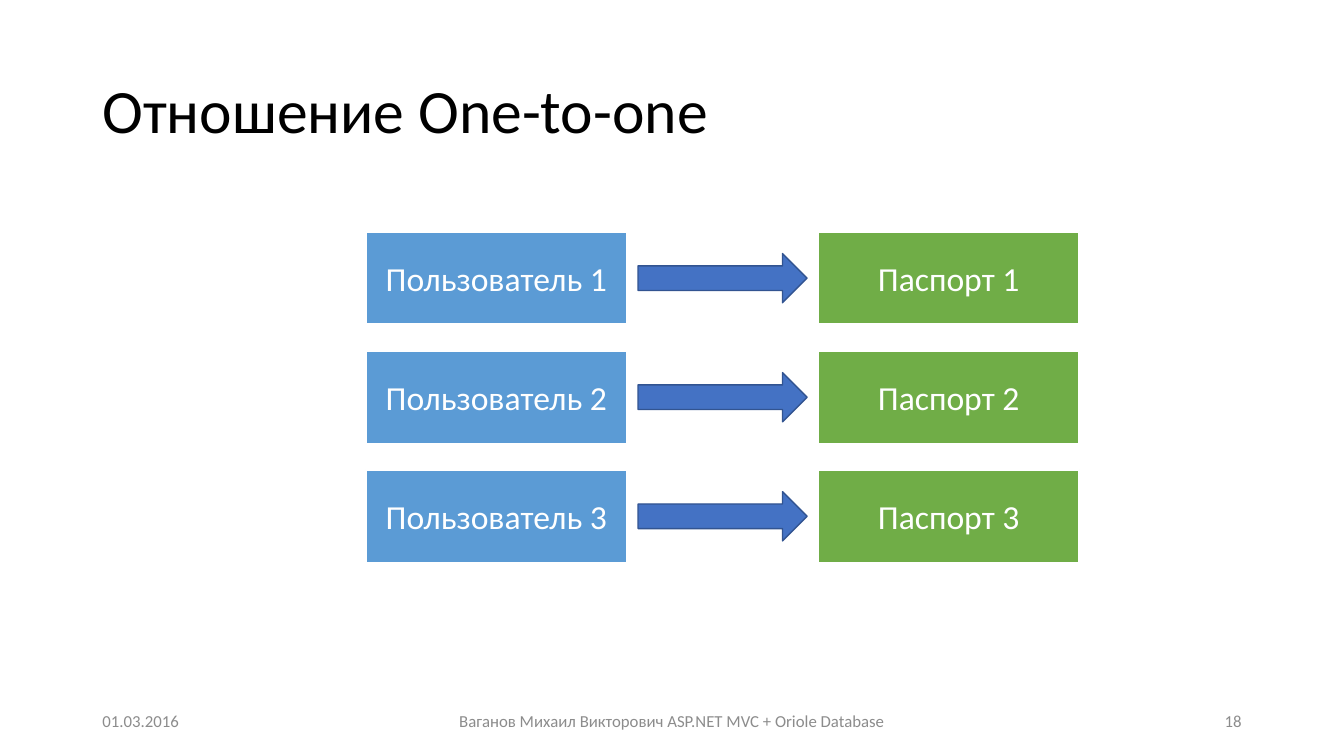
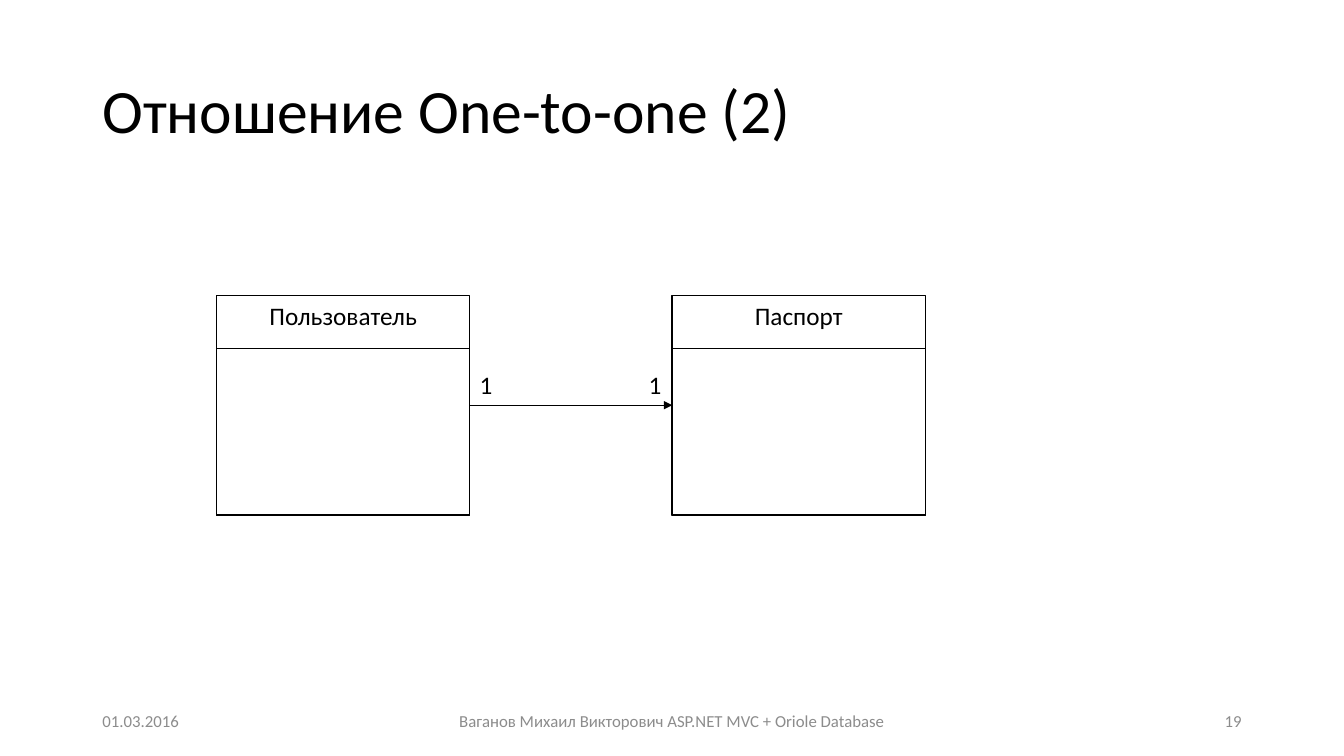
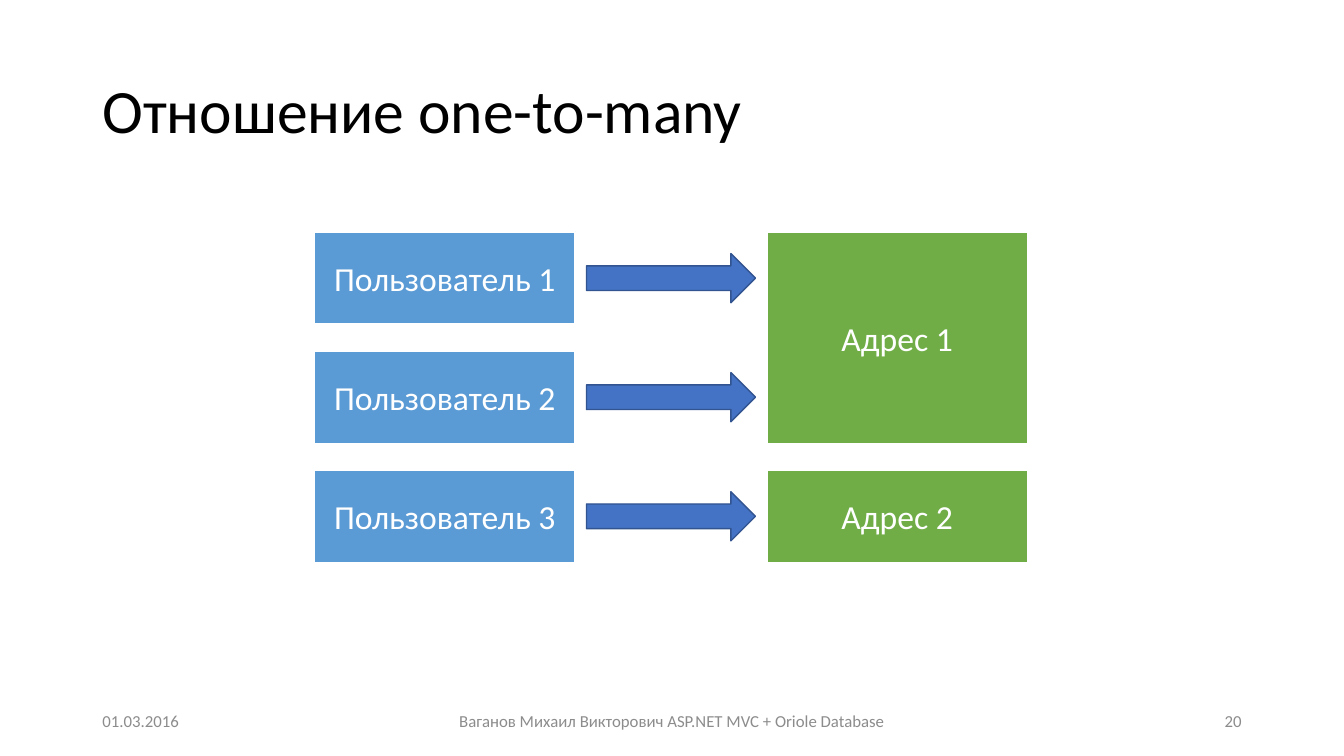
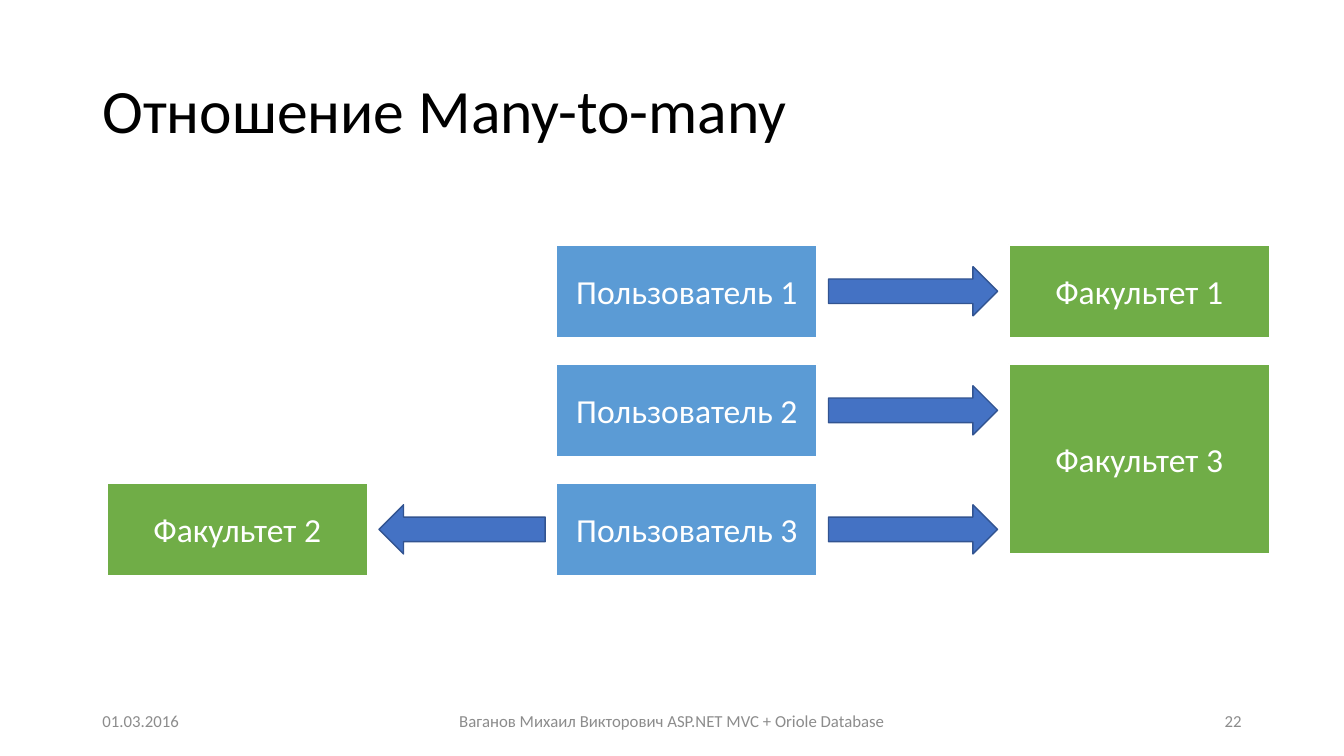
import pptx
import pptx.dml.color
import pptx.enum.shapes
import pptx.enum.text
import pptx.oxml.xmlchemy
import pptx.util
from lxml import etree
from pptx.util import Cm

FONT = "Calibri"
BLACK, WHITE, GREY = "000000", "FFFFFF", "8C8C8C"
BLUE, GREEN = "5B9BD5", "70AD47"
ARROW_FILL, ARROW_LINE = "4472C4", "325491"
DATE = "01.03.2016"
FOOTER = "Ваганов Михаил Викторович ASP.NET MVC + Oriole Database"
USERS = ["Пользователь 1", "Пользователь 2", "Пользователь 3"]

BOX_WIDTH, BOX_HEIGHT = 6.58, 2.34
COLUMN_STEP, ROW_STEP = 11.4, 3
ARROW_HEIGHT, ARROW_GAP = 1.24, 0.28
ARROW_DROP = (BOX_HEIGHT - ARROW_HEIGHT) / 2
CLASS_WIDTH, CLASS_HEIGHT, CLASS_HEADER = 6.38, 5.54, 1.35

SHAPES = pptx.enum.shapes.MSO_SHAPE
ALIGN = pptx.enum.text.PP_ALIGN
ANCHOR = pptx.enum.text.MSO_ANCHOR


def color(value):
    """Turn a hex string into a colour."""
    return pptx.dml.color.RGBColor.from_string(value)


def write(shape, text, size, ink, align=ALIGN.LEFT, anchor=ANCHOR.MIDDLE):
    """Put one run of text in a shape and return its paragraph."""
    frame = shape.text_frame
    frame.word_wrap = True
    frame.vertical_anchor = anchor
    paragraph = frame.paragraphs[0]
    paragraph.alignment = align
    run = paragraph.add_run()
    run.text = text
    run.font.name = FONT
    run.font.size = pptx.util.Pt(size)
    run.font.color.rgb = color(ink)
    return paragraph


def add_text(slide, left, top, width, height):
    """Add an empty text box measured in centimetres."""
    return slide.shapes.add_textbox(Cm(left), Cm(top), Cm(width), Cm(height))


def add_shape(slide, kind, left, top, width, height, fill, line, line_width):
    """Add a flat preset shape measured in centimetres."""
    shape = slide.shapes.add_shape(kind, Cm(left), Cm(top), Cm(width), Cm(height))
    shape.shadow.inherit = False
    shape.fill.solid()
    shape.fill.fore_color.rgb = color(fill)
    shape.line.color.rgb = color(line)
    shape.line.width = pptx.util.Pt(line_width)
    return shape


def add_box(slide, text, left, top, fill, height=BOX_HEIGHT):
    """Add a coloured box that names one record."""
    box = add_shape(slide, SHAPES.RECTANGLE, left, top, BOX_WIDTH, height, fill, WHITE, 1.5)
    write(box, text, 24, WHITE, ALIGN.CENTER)


def add_arrow(slide, left_box, right_box, row_top, kind=SHAPES.RIGHT_ARROW):
    """Add a block arrow filling the gap between two boxes of a row."""
    start = left_box + BOX_WIDTH + ARROW_GAP
    width = right_box - ARROW_GAP - start
    add_shape(slide, kind, start, row_top + ARROW_DROP, width, ARROW_HEIGHT,
              ARROW_FILL, ARROW_LINE, 1)


def add_users(slide, left, top):
    """Add the column of users, each with an arrow to the right."""
    for row, user in enumerate(USERS):
        row_top = top + row * ROW_STEP
        add_box(slide, user, left, row_top, BLUE)
        add_arrow(slide, left, left + COLUMN_STEP, row_top)


def add_class(slide, name, left, top):
    """Add a class box with a header and an empty body."""
    outer = add_shape(slide, SHAPES.RECTANGLE, left, top, CLASS_WIDTH, CLASS_HEIGHT,
                      WHITE, BLACK, 1)
    write(outer, name, 18, BLACK, ALIGN.CENTER, ANCHOR.TOP)
    add_shape(slide, SHAPES.RECTANGLE, left, top + CLASS_HEADER, CLASS_WIDTH,
              CLASS_HEIGHT - CLASS_HEADER, WHITE, BLACK, 1)


def add_association(slide, start, end, level):
    """Add a thin line with an arrowhead between two classes."""
    connector = slide.shapes.add_connector(
        pptx.enum.shapes.MSO_CONNECTOR.STRAIGHT, Cm(start), Cm(level), Cm(end), Cm(level))
    connector.line.color.rgb = color(BLACK)
    connector.line.width = pptx.util.Pt(0.5)
    tail = etree.SubElement(connector.line._get_or_add_ln(), pptx.oxml.ns.qn("a:tailEnd"))
    tail.set("type", "triangle")
    etree.SubElement(connector._element.spPr, pptx.oxml.ns.qn("a:effectLst"))


def add_multiplicity(slide, text, left, line_level):
    """Add a multiplicity label resting on the association line."""
    width, height = 0.84, 1.02
    label = add_text(slide, left, line_level - height, width, height)
    write(label, text, 18, BLACK, anchor=ANCHOR.TOP)
    label.text_frame.word_wrap = False
    label.text_frame.auto_size = pptx.enum.text.MSO_AUTO_SIZE.SHAPE_TO_FIT_TEXT


def add_slide(presentation, title, number):
    """Add a blank slide with its title and footer line."""
    slide = presentation.slides.add_slide(presentation.slide_layouts[6])
    heading = write(add_text(slide, 2.33, 1.01, 29.21, 3.68), title, 44, BLACK)
    heading.line_spacing = 0.9
    footers = [
        (DATE, 2.33, 7.62, ALIGN.LEFT),
        (FOOTER, 11.22, 11.43, ALIGN.CENTER),
        (str(number), 23.92, 7.62, ALIGN.RIGHT),
    ]
    for text, left, width, align in footers:
        write(add_text(slide, left, 17.65, width, 1.01), text, 12, GREY, align)
    return slide


def one_to_one(presentation):
    """Build the slide that pairs each user with a passport."""
    slide = add_slide(presentation, "Отношение One-to-one", 18)
    left, top = 9.22, 5.84
    add_users(slide, left, top)
    for row in range(len(USERS)):
        add_box(slide, f"Паспорт {row + 1}", left + COLUMN_STEP, top + row * ROW_STEP, GREEN)


def one_to_one_classes(presentation):
    """Build the class diagram of the one-to-one relation."""
    slide = add_slide(presentation, "Отношение One-to-one (2)", 19)
    user_left, passport_left, top = 5.46, 16.94, 7.44
    add_class(slide, "Пользователь", user_left, top)
    add_class(slide, "Паспорт", passport_left, top)
    user_right = user_left + CLASS_WIDTH
    middle = top + CLASS_HEIGHT / 2
    add_association(slide, user_right, passport_left, middle)
    add_multiplicity(slide, "1", user_right, middle)
    add_multiplicity(slide, "1", passport_left - 0.84, middle)


def one_to_many(presentation):
    """Build the slide where two users share an address."""
    slide = add_slide(presentation, "Отношение one-to-many", 20)
    left, top = 7.92, 5.84
    address_left = left + COLUMN_STEP
    add_users(slide, left, top)
    add_box(slide, "Адрес 1", address_left, top, GREEN, ROW_STEP + BOX_HEIGHT)
    add_box(slide, "Адрес 2", address_left, top + 2 * ROW_STEP, GREEN)


def many_to_many(presentation):
    """Build the slide that links users and faculties both ways."""
    slide = add_slide(presentation, "Отношение Many-to-many", 22)
    left, top, far_left = 14.02, 6.17, 2.69
    faculty_left = left + COLUMN_STEP
    last_top = top + 2 * ROW_STEP
    add_users(slide, left, top)
    add_box(slide, "Факультет 1", faculty_left, top, GREEN)
    add_box(slide, "Факультет 3", faculty_left, top + ROW_STEP, GREEN,
            ROW_STEP + ARROW_DROP + ARROW_HEIGHT)
    add_box(slide, "Факультет 2", far_left, last_top, GREEN)
    add_arrow(slide, far_left, left, last_top, SHAPES.LEFT_ARROW)


def main():
    """Build the four slides and save them."""
    presentation = pptx.Presentation()
    presentation.slide_width = Cm(33.87)
    presentation.slide_height = Cm(19.05)
    one_to_one(presentation)
    one_to_one_classes(presentation)
    one_to_many(presentation)
    many_to_many(presentation)
    presentation.save("out.pptx")


main()
